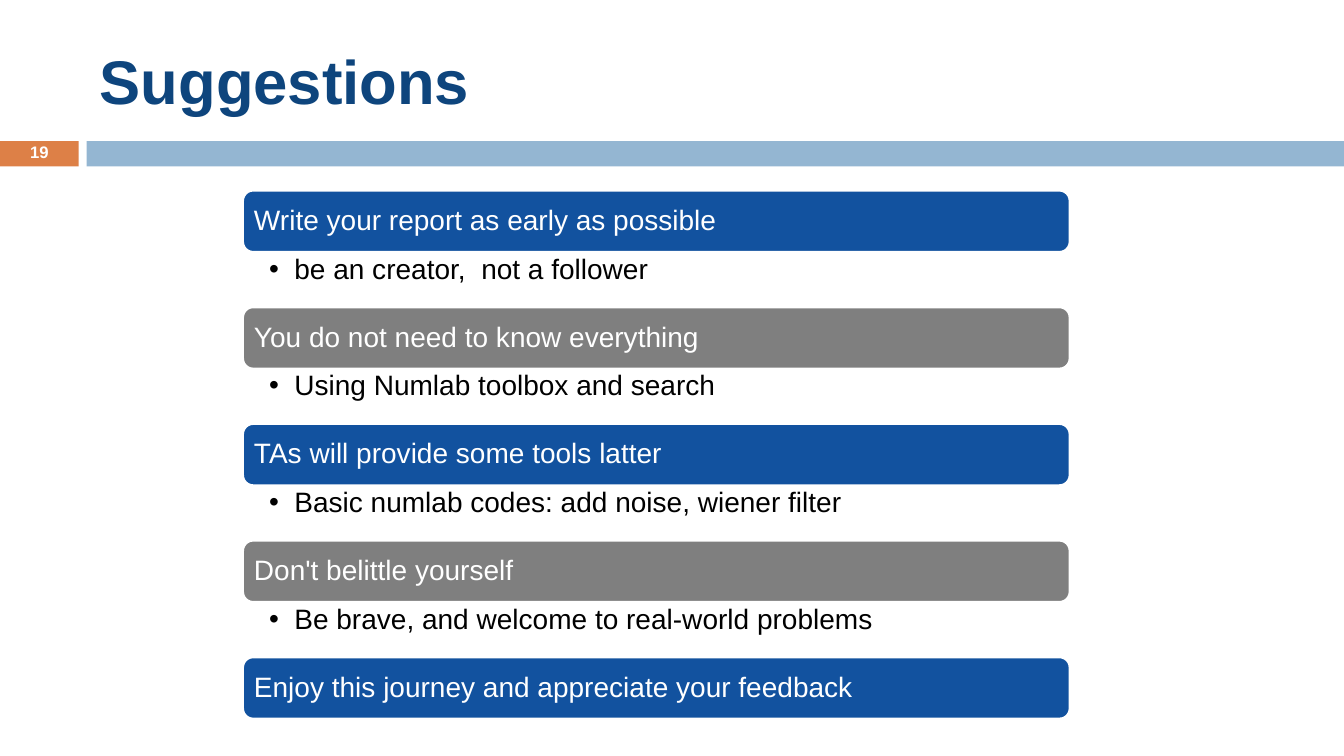
from lxml.etree import SubElement
from pptx import Presentation
from pptx.dml.color import RGBColor
from pptx.enum.shapes import MSO_SHAPE
from pptx.enum.text import MSO_ANCHOR, PP_ALIGN
from pptx.oxml.ns import qn
from pptx.util import Inches, Pt

COLORS = {
    "title": "0E457D",
    "orange": "DD8047",
    "band": "94B6D2",
    "blue": "12529F",
    "gray": "7F7F7F",
    "white": "FFFFFF",
    "black": "000000",
}
SUGGESTIONS = [
    ("Write your report as early as possible", "be an creator,  not a follower"),
    ("You do not need to know everything", "Using Numlab toolbox and search"),
    ("TAs will provide some tools latter", "Basic numlab codes: add noise, wiener filter"),
    ("Don't belittle yourself", "Be brave, and welcome to real-world problems"),
    ("Enjoy this journey and appreciate your feedback", None),
]


def color(name):
    return RGBColor.from_string(COLORS[name])


def write(shape, text, size, ink, bold=False, align=PP_ALIGN.LEFT,
          anchor=MSO_ANCHOR.MIDDLE, margins=(0.1, 0.05, 0.1, 0.05), spacing=0.9):
    frame = shape.text_frame
    frame.text = text
    frame.word_wrap = True
    frame.vertical_anchor = anchor
    (frame.margin_left, frame.margin_top,
     frame.margin_right, frame.margin_bottom) = map(Inches, margins)
    para = frame.paragraphs[0]
    para.alignment = align
    para.line_spacing = spacing
    for span in para.runs:
        span.font.name = "Arial"
        span.font.size = Pt(size)
        span.font.bold = bold
        span.font.color.rgb = color(ink)
    return para


def add_panel(page, kind, box, fill, outline=None):
    panel = page.shapes.add_shape(kind, *map(Inches, box))
    panel.shadow.inherit = False
    panel.fill.solid()
    panel.fill.fore_color.rgb = color(fill)
    if outline:
        panel.line.color.rgb = color(outline)
        panel.line.width = Pt(1.5)
    else:
        panel.line.fill.background()
    return panel


def add_title(page, box, text):
    title = page.shapes.title
    title.left, title.top, title.width, title.height = map(Inches, box)
    write(title, text, 44, "title", bold=True, spacing=1.0)


def add_number_band(page, box, number):
    left, top, width, height = box
    number_width, gap = 0.78, 0.08
    tab = add_panel(page, MSO_SHAPE.RECTANGLE,
                    (left, top, number_width, height), "orange")
    write(tab, number, 11.9, "white", bold=True, align=PP_ALIGN.CENTER,
          margins=(0.1, 0, 0.1, 0), spacing=0.8)
    start = number_width + gap
    add_panel(page, MSO_SHAPE.RECTANGLE,
              (left + start, top, width - start, height), "band")


def add_bullet(para):
    properties = para._p.get_or_add_pPr()
    properties.set("marL", str(Inches(0.25)))
    properties.set("indent", str(-Inches(0.25)))
    SubElement(properties, qn("a:buFont")).set("typeface", "Arial")
    SubElement(properties, qn("a:buChar")).set("char", "•")


def add_suggestions(page, box, suggestions):
    left, top, width, height = box
    bar_height = 0.61
    step = (height - bar_height) / (len(suggestions) - 1)
    for index, (heading, detail) in enumerate(suggestions):
        bar_top = top + index * step
        bar = add_panel(page, MSO_SHAPE.ROUNDED_RECTANGLE,
                        (left, bar_top, width, bar_height),
                        ("blue", "gray")[index % 2], "white")
        write(bar, heading, 20, "white", margins=(0.08,) * 4)
        if detail:
            note = page.shapes.add_textbox(*map(Inches, (
                left, bar_top + bar_height, width, step - bar_height)))
            para = write(note, detail, 20, "black", anchor=MSO_ANCHOR.TOP,
                         margins=(0.26, 0.03, 0.16, 0.03))
            add_bullet(para)


def main():
    deck = Presentation()
    deck.slide_width, deck.slide_height = Inches(13.33), Inches(7.5)
    page = deck.slides.add_slide(deck.slide_layouts[5])
    add_number_band(page, (0, 1.4, 13.33, 0.25), "19")
    add_title(page, (0.89, 0.25, 11.89, 1.08), "Suggestions")
    add_suggestions(page, (2.41, 1.89, 8.2, 5.24), SUGGESTIONS)
    deck.save("out.pptx")


if __name__ == "__main__":
    main()
